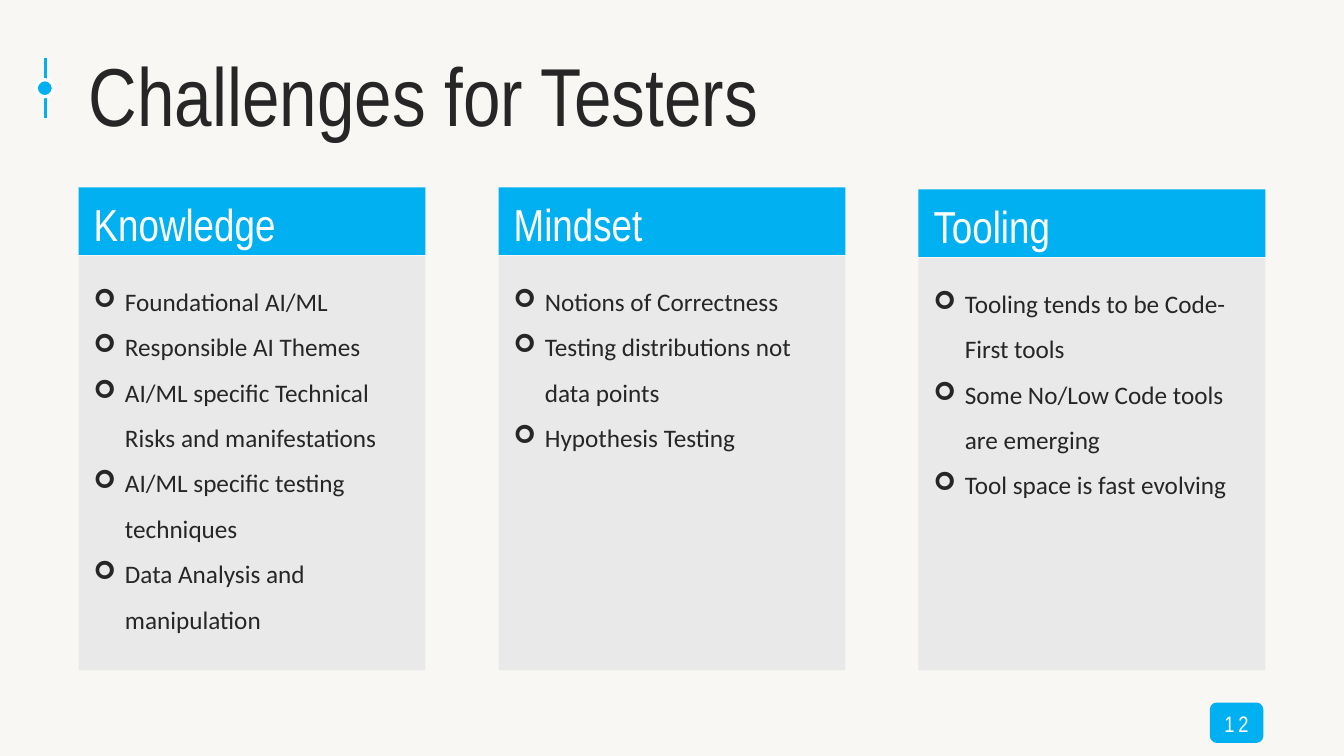
from lxml.etree import SubElement
from pptx import Presentation
from pptx.dml.color import RGBColor
from pptx.enum.shapes import MSO_CONNECTOR, MSO_SHAPE
from pptx.enum.text import MSO_ANCHOR, MSO_AUTO_SIZE, PP_ALIGN
from pptx.oxml.ns import qn
from pptx.util import Pt

PX = 9144
COLORS = {
    "paper": "F8F7F3",
    "accent": "00B0F0",
    "panel": "E9E9E9",
    "ink": "262626",
    "white": "FFFFFF",
}
HEADING_FONT = "Arial Narrow"
BODY_FONT = "Calibri"
COLUMN_LEFT, COLUMN_STEP, COLUMN_WIDTH = 78, 416.5, 344
HEADER_HEIGHT, PANEL_OFFSET, PANEL_BOTTOM = 67, 68, 665
COLUMNS = [
    ("Knowledge", 186, [
        "Foundational AI/ML",
        "Responsible AI Themes",
        "AI/ML specific Technical Risks and manifestations",
        "AI/ML specific testing techniques",
        "Data Analysis and manipulation",
    ]),
    ("Mindset", 186, [
        "Notions of Correctness",
        "Testing distributions not data points",
        "Hypothesis Testing",
    ]),
    ("Tooling", 188, [
        "Tooling tends to be Code-First tools",
        "Some No/Low Code tools are emerging",
        "Tool space is fast evolving",
    ]),
]


def px(*lengths):
    return [round(length * PX) for length in lengths]


def color(name):
    return RGBColor.from_string(COLORS[name])


def set_values(target, values):
    for name, value in values.items():
        setattr(target, name, value)


def set_frame(shape, anchor, insets):
    sides = ("margin_left", "margin_top", "margin_right", "margin_bottom")
    set_values(shape.text_frame, {
        "word_wrap": True,
        "auto_size": MSO_AUTO_SIZE.NONE,
        "vertical_anchor": anchor,
        **dict(zip(sides, px(*insets))),
    })


def write(para, text, font, size, ink, align=PP_ALIGN.LEFT):
    para.alignment = align
    span = para.add_run()
    span.text = text
    set_values(span.font, {"name": font, "size": Pt(size)})
    span.font.color.rgb = color(ink)
    return span


def add_block(page, kind, place, fill):
    box = page.shapes.add_shape(kind, *px(*place))
    box.shadow.inherit = False
    box.fill.solid()
    box.fill.fore_color.rgb = color(fill)
    box.line.fill.background()
    return box


def add_marker(page):
    stem = page.shapes.add_connector(MSO_CONNECTOR.STRAIGHT, *px(45, 58, 45, 117))
    stem.line.color.rgb = color("accent")
    stem.line.width = Pt(2.25)
    SubElement(stem._element.spPr, qn("a:effectLst"))
    dot = add_block(page, MSO_SHAPE.OVAL, (36, 79, 17, 17), "accent")
    dot.line.color.rgb = color("white")
    dot.line.width = Pt(2.25)


def add_title(page, text):
    title = page.shapes.title
    set_values(title, dict(zip(("left", "top", "width", "height"), px(78, 30, 1189, 125))))
    set_frame(title, MSO_ANCHOR.MIDDLE, (10, 5, 10, 5))
    write(title.text_frame.paragraphs[0], text, HEADING_FONT, 58.7, "ink")


def add_header(page, place, text):
    box = add_block(page, MSO_SHAPE.RECTANGLE, place, "accent")
    set_frame(box, MSO_ANCHOR.MIDDLE, (15, 5, 10, 0))
    write(box.text_frame.paragraphs[0], text, HEADING_FONT, 32, "white")


def add_bullet(para):
    indent = px(31)[0]
    properties = para._p.get_or_add_pPr()
    properties.set("marL", str(indent))
    properties.set("indent", str(-indent))
    SubElement(properties, qn("a:buFont"), typeface="Wingdings")
    SubElement(properties, qn("a:buChar"), char="➢")


def add_panel(page, place, items):
    box = add_block(page, MSO_SHAPE.RECTANGLE, place, "panel")
    set_frame(box, MSO_ANCHOR.TOP, (15, 15, 10, 5))
    for index, item in enumerate(items):
        para = box.text_frame.add_paragraph() if index else box.text_frame.paragraphs[0]
        para.line_spacing = 1.5
        write(para, item, BODY_FONT, 18, "ink")
        add_bullet(para)


def add_page_number(page, number):
    box = add_block(page, MSO_SHAPE.ROUNDED_RECTANGLE, (1200, 697, 53, 40), "accent")
    set_frame(box, MSO_ANCHOR.MIDDLE, (0, 2, 0, 0))
    span = write(box.text_frame.paragraphs[0], number, HEADING_FONT, 16, "white", PP_ALIGN.CENTER)
    span.font._element.set("spc", "270")


def main():
    deck = Presentation()
    deck.slide_width, deck.slide_height = px(1333, 750)
    page = deck.slides.add_slide(deck.slide_layouts[5])
    page.background.fill.solid()
    page.background.fill.fore_color.rgb = color("paper")
    add_marker(page)
    add_title(page, "Challenges for Testers")
    for index, (heading, top, items) in enumerate(COLUMNS):
        left = COLUMN_LEFT + index * COLUMN_STEP
        panel_top = top + PANEL_OFFSET
        add_header(page, (left, top, COLUMN_WIDTH, HEADER_HEIGHT), heading)
        add_panel(page, (left, panel_top, COLUMN_WIDTH, PANEL_BOTTOM - panel_top), items)
    add_page_number(page, "12")
    deck.save("out.pptx")


if __name__ == "__main__":
    main()
